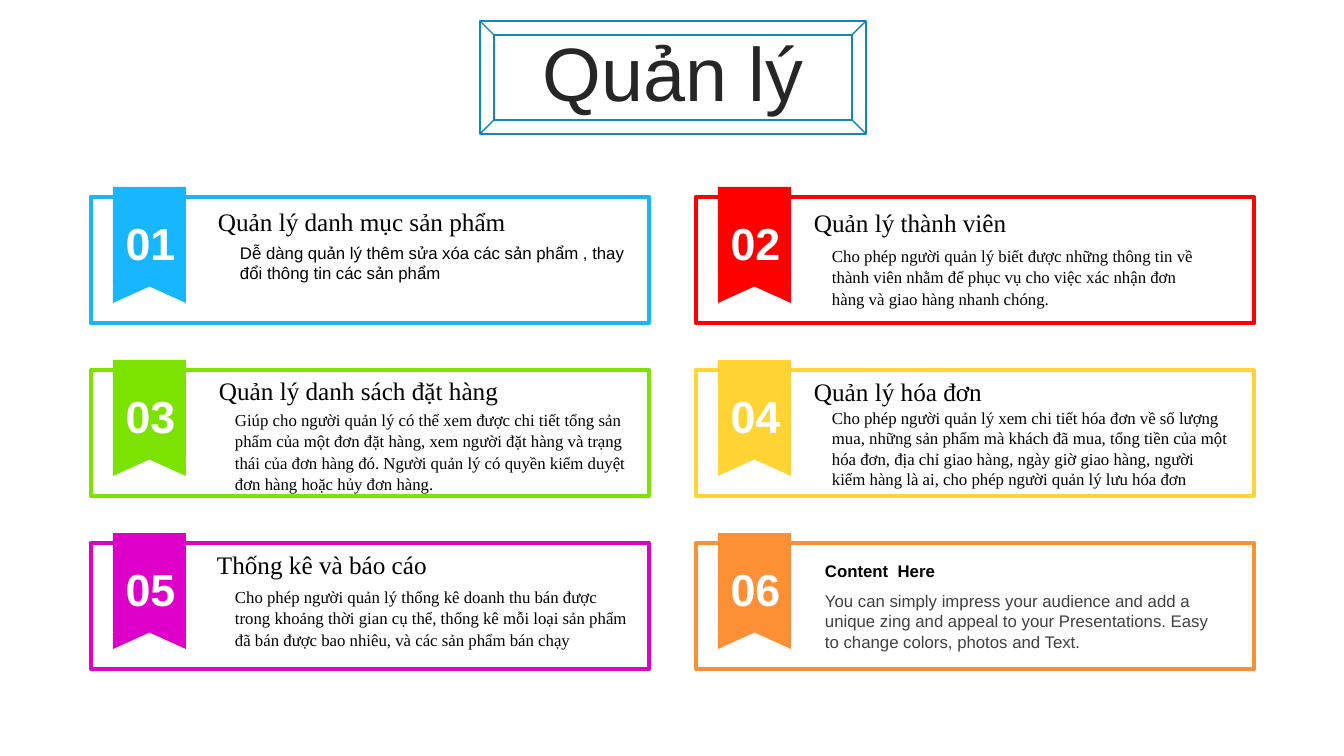
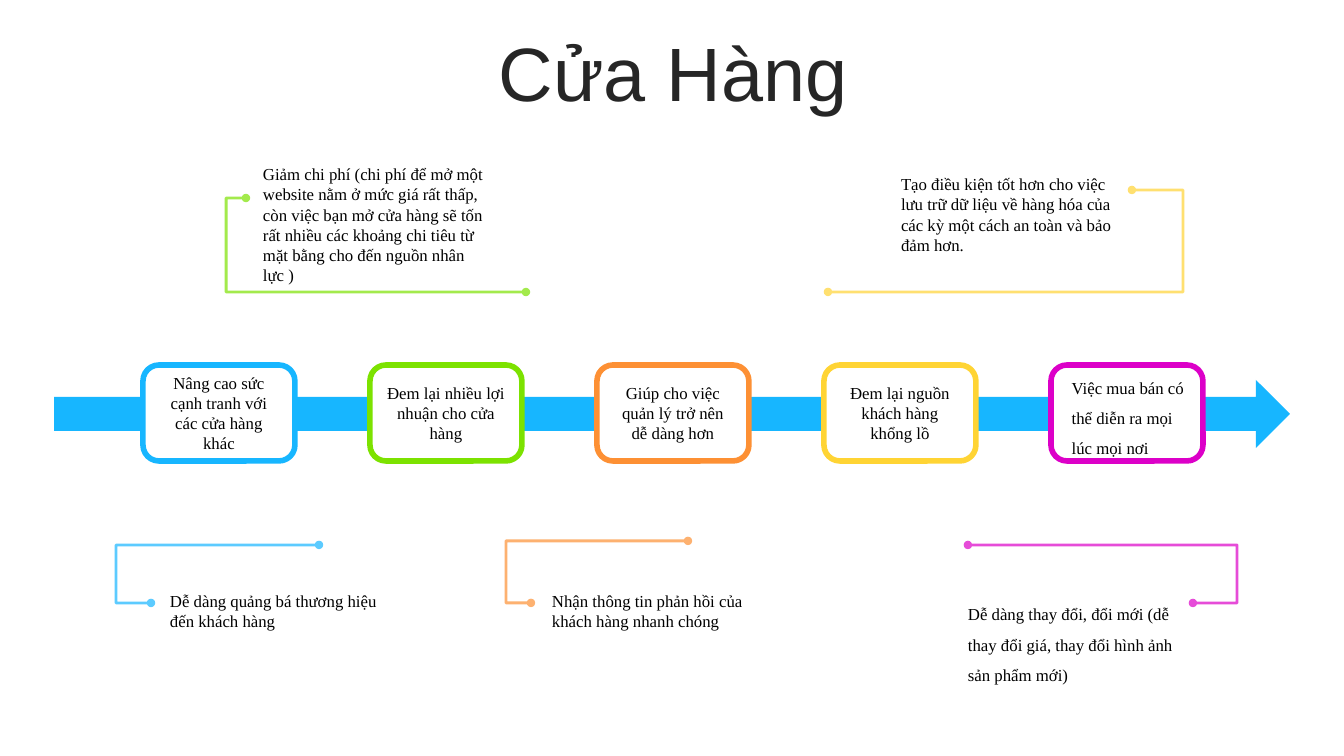
"""Builds two slides: the management functions and the store benefits."""
from dataclasses import dataclass

from lxml.etree import SubElement
from pptx import Presentation
from pptx.dml.color import RGBColor
from pptx.enum.shapes import MSO_CONNECTOR, MSO_SHAPE
from pptx.enum.text import MSO_ANCHOR, MSO_AUTO_SIZE, PP_ALIGN
from pptx.oxml.ns import qn
from pptx.util import Emu, Pt

SANS = "Arial"
SERIF = "Times New Roman"
BLACK = RGBColor(0x00, 0x00, 0x00)
WHITE = RGBColor(0xFF, 0xFF, 0xFF)
INK = RGBColor(0x26, 0x26, 0x26)
GRAY = RGBColor(0x40, 0x40, 0x40)
BLUE = RGBColor(0x17, 0xB6, 0xFF)
DEEP_BLUE = RGBColor(0x11, 0x87, 0xBD)
RED = RGBColor(0xFF, 0x00, 0x00)
GREEN = RGBColor(0x7C, 0xE2, 0x00)
YELLOW = RGBColor(0xFF, 0xD4, 0x34)
MAGENTA = RGBColor(0xDC, 0x00, 0xC8)
ORANGE = RGBColor(0xFD, 0x90, 0x34)


@dataclass(frozen=True)
class Style:
    font: str = SERIF
    size: int = 12
    color: RGBColor = BLACK
    bold: bool = False
    align: PP_ALIGN = PP_ALIGN.LEFT
    spacing: float = 1.0


BODY = Style()
LOOSE = Style(spacing=1.07)
WIDE = Style(spacing=1.5)
CENTERED = Style(align=PP_ALIGN.CENTER)
HEADING = Style(size=18)
NUMBER = Style(SANS, 32, WHITE, True, PP_ALIGN.CENTER)
TITLE = Style(SANS, 54, INK, align=PP_ALIGN.CENTER, spacing=0.9)


@dataclass(frozen=True)
class Label:
    text: str
    left: int
    top: int
    width: int
    height: int
    style: Style = BODY


@dataclass(frozen=True)
class Card:
    color: RGBColor
    heading: Label
    body: Label


@dataclass(frozen=True)
class Node:
    color: RGBColor
    text: str
    style: Style = CENTERED
    insets: tuple[int, int] = (11, 11)


@dataclass(frozen=True)
class Callout:
    color: RGBColor
    begin: tuple[int, int]
    end: tuple[int, int]
    bend: int
    label: Label


CARDS = [
    Card(BLUE, Label("Quản lý danh mục sản phẩm", 208, 201, 324, 40, HEADING),
         Label("Dễ dàng quản lý thêm sửa xóa các sản phẩm , thay đổi thông tin "
               "các sản phẩm", 230, 238, 417, 50, Style(SANS))),
    Card(RED, Label("Quản lý thành viên", 804, 202, 417, 40, HEADING),
         Label("Cho phép người quản lý biết được những thông tin về thành viên "
               "nhằm để phục vụ cho việc xác nhận đơn hàng và giao hàng nhanh "
               "chóng.", 822, 239, 400, 75, LOOSE)),
    Card(GREEN, Label("Quản lý danh sách đặt hàng", 209, 370, 417, 40, HEADING),
         Label("Giúp cho người quản lý có thể xem được chi tiết tổng sản phẩm của "
               "một đơn đặt hàng, xem người đặt hàng và trạng thái của đơn hàng đó. "
               "Người quản lý có quyền kiểm duyệt đơn hàng hoặc hủy đơn hàng.",
               225, 403, 417, 129, LOOSE)),
    Card(YELLOW, Label("Quản lý hóa đơn", 804, 371, 417, 40, HEADING),
         Label("Cho phép người quản lý xem chi tiết hóa đơn về số lượng mua, những "
               "sản phẩm mà khách đã mua, tổng tiền của một hóa đơn, địa chỉ giao "
               "hàng, ngày giờ giao hàng, người kiểm hàng là ai, cho phép người quản "
               "lý lưu hóa đơn", 822, 403, 417, 92)),
    Card(MAGENTA, Label("Thống kê và báo cáo", 207, 544, 417, 40, HEADING),
         Label("Cho phép người quản lý thống kê doanh thu bán được trong khoảng "
               "thời gian cụ thể, thống kê mỗi loại sản phẩm đã bán được bao nhiêu, "
               "và các sản phẩm bán chạy", 225, 580, 417, 75, LOOSE)),
    Card(ORANGE, Label("Content  Here", 815, 556, 417, 30, Style(SANS, bold=True)),
         Label("You can simply impress your audience and add a unique zing and "
               "appeal to your Presentations. Easy to change colors, photos and "
               "Text.", 815, 586, 417, 72, Style(SANS, color=GRAY))),
]

NODES = [
    Node(BLUE, "Nâng cao sức cạnh tranh với các cửa hàng khác"),
    Node(GREEN, "Đem lại nhiều lợi nhuận cho cửa hàng"),
    Node(ORANGE, "Giúp cho việc quản lý trở nên dễ dàng hơn"),
    Node(YELLOW, "Đem lại nguồn khách hàng khổng lồ"),
    Node(MAGENTA, "Việc mua bán có thể diễn ra mọi lúc mọi nơi", WIDE, (16, 5)),
]

CALLOUTS = [
    Callout(BLUE, (151, 603), (319, 545), 116,
            Label("Dễ dàng quảng bá thương hiệu đến khách hàng", 170, 586, 225, 50)),
    Callout(ORANGE, (531, 603), (688, 541), 506,
            Label("Nhận thông tin phản hồi của khách hàng nhanh chóng",
                  552, 586, 225, 50)),
    Callout(MAGENTA, (1193, 603), (968, 545), 1237,
            Label("Dễ dàng thay đổi, đổi mới (dễ thay đổi giá, thay đổi hình ảnh "
                  "sản phẩm mới)", 968, 589, 225, 99, WIDE)),
    Callout(GREEN, (246, 198), (526, 292), 226,
            Label("Giảm chi phí (chi phí để mở một website nằm ở mức giá rất thấp, "
                  "còn việc bạn mở cửa hàng sẽ tốn rất nhiều các khoảng chi tiêu từ "
                  "mặt bằng cho đến nguồn nhân lực )", 263, 159, 226, 132)),
    Callout(YELLOW, (828, 292), (1132, 190), 1183,
            Label("Tạo điều kiện tốt hơn cho việc lưu trữ dữ liệu về hàng hóa của "
                  "các kỳ một cách an toàn và bảo đảm hơn.", 901, 169, 226, 92)),
]


def px(n: int) -> Emu:
    """Turn pixels into EMU."""
    return Emu(round(n * 914400 / 100.8))


def write(tf, text: str, style: Style) -> None:
    """Fill a text frame with one styled paragraph."""
    tf.word_wrap = True
    tf.text = text
    p = tf.paragraphs[0]
    p.alignment = style.align
    p.line_spacing = style.spacing
    p.space_before = Pt(0)
    p.font.name = style.font
    p.font.size = Pt(style.size)
    p.font.bold = style.bold
    p.font.color.rgb = style.color


def set_insets(tf, left: int, top: int, right: int, bottom: int) -> None:
    """Set the four text margins."""
    tf.margin_left, tf.margin_top = px(left), px(top)
    tf.margin_right, tf.margin_bottom = px(right), px(bottom)


def add_label(s, label: Label, side: int = 10) -> None:
    """Add a text box that grows with its text."""
    box = s.shapes.add_textbox(px(label.left), px(label.top),
                               px(label.width), px(label.height))
    tf = box.text_frame
    write(tf, label.text, label.style)
    set_insets(tf, side, 5, side, 5)
    tf.auto_size = MSO_AUTO_SIZE.SHAPE_TO_FIT_TEXT


def add_block(s, kind: MSO_SHAPE, left: int, top: int, width: int, height: int,
              fill: RGBColor | None, line: RGBColor | None = None, weight: int = 1):
    """Add a preset shape with an optional fill and outline."""
    sp = s.shapes.add_shape(kind, px(left), px(top), px(width), px(height))
    sp.shadow.inherit = False
    if fill is None:
        sp.fill.background()
    else:
        sp.fill.solid()
        sp.fill.fore_color.rgb = fill
    if line is None:
        sp.line.fill.background()
    else:
        sp.line.color.rgb = line
        sp.line.width = Pt(weight)
    return sp


def add_slide(prs, title: str):
    """Add a title-only slide with its formatted title."""
    s = prs.slides.add_slide(prs.slide_layouts[5])
    sp = s.shapes.title
    sp.left, sp.top, sp.width, sp.height = px(35), px(37), px(1276), px(80)
    write(sp.text_frame, title, TITLE)
    sp.text_frame.vertical_anchor = MSO_ANCHOR.MIDDLE
    sp.text_frame.auto_size = MSO_AUTO_SIZE.NONE
    return s


def add_card(s, i: int, card: Card) -> None:
    """Add a framed card with its numbered ribbon and texts."""
    row, col = divmod(i, 2)
    left, top = 91 + 605 * col, 197 + 173 * row
    add_block(s, MSO_SHAPE.RECTANGLE, left, top, 558, 126, WHITE, card.color, 3)
    tail = add_block(s, MSO_SHAPE.CHEVRON, left + 42, top + 53, 33, 73, card.color)
    tail.rotation = 270
    ribbon = add_block(s, MSO_SHAPE.RECTANGLE, left + 22, top - 10, 73, 99, card.color)
    write(ribbon.text_frame, f"{i + 1:02}", NUMBER)
    set_insets(ribbon.text_frame, 2, 12, 0, 0)
    ribbon.text_frame.vertical_anchor = MSO_ANCHOR.MIDDLE
    add_label(s, card.heading)
    add_label(s, card.body)


def add_node(s, i: int, node: Node) -> None:
    """Add a rounded step on the arrow."""
    sp = add_block(s, MSO_SHAPE.ROUNDED_RECTANGLE, 143 + 227 * i, 365, 152, 96,
                   WHITE, node.color, 4)
    write(sp.text_frame, node.text, node.style)
    left, right = node.insets
    set_insets(sp.text_frame, left, 0, right, 0)
    sp.text_frame.vertical_anchor = MSO_ANCHOR.MIDDLE


def add_callout(s, callout: Callout) -> None:
    """Add a label with a bent, translucent line ending in dots."""
    (x1, y1), (x2, y2) = callout.begin, callout.end
    cxn = s.shapes.add_connector(MSO_CONNECTOR.ELBOW, px(x1), px(y1), px(x2), px(y2))
    cxn.line.color.rgb = callout.color
    cxn.line.width = Pt(2)
    sppr = cxn._element.spPr
    bend = round(100000 * (callout.bend - x1) / (x2 - x1))
    SubElement(next(sppr.iter(qn("a:avLst"))), qn("a:gd"),
               name="adj1", fmla=f"val {bend}")
    SubElement(next(sppr.iter(qn("a:srgbClr"))), qn("a:alpha"), val="70000")
    ln = sppr.find(qn("a:ln"))
    for end in ("a:headEnd", "a:tailEnd"):
        SubElement(ln, qn(end), type="oval")
    SubElement(sppr, qn("a:effectLst"))
    add_label(s, callout.label, 0)


def build_management(prs) -> None:
    """Build the slide of six management cards."""
    s = add_slide(prs, "Quản lý")
    for i, card in enumerate(CARDS):
        add_card(s, i, card)
    add_block(s, MSO_SHAPE.BEVEL, 480, 21, 386, 113, None, DEEP_BLUE)


def build_store(prs) -> None:
    """Build the slide of store benefits along an arrow."""
    s = add_slide(prs, "Cửa Hàng")
    add_block(s, MSO_SHAPE.RIGHT_ARROW, 54, 380, 1236, 68, BLUE)
    for callout in CALLOUTS:
        add_callout(s, callout)
    for i, node in enumerate(NODES):
        add_node(s, i, node)


def main() -> None:
    """Build and save the presentation."""
    prs = Presentation()
    prs.slide_width, prs.slide_height = px(1344), px(756)
    build_management(prs)
    build_store(prs)
    prs.save("out.pptx")


if __name__ == "__main__":
    main()
